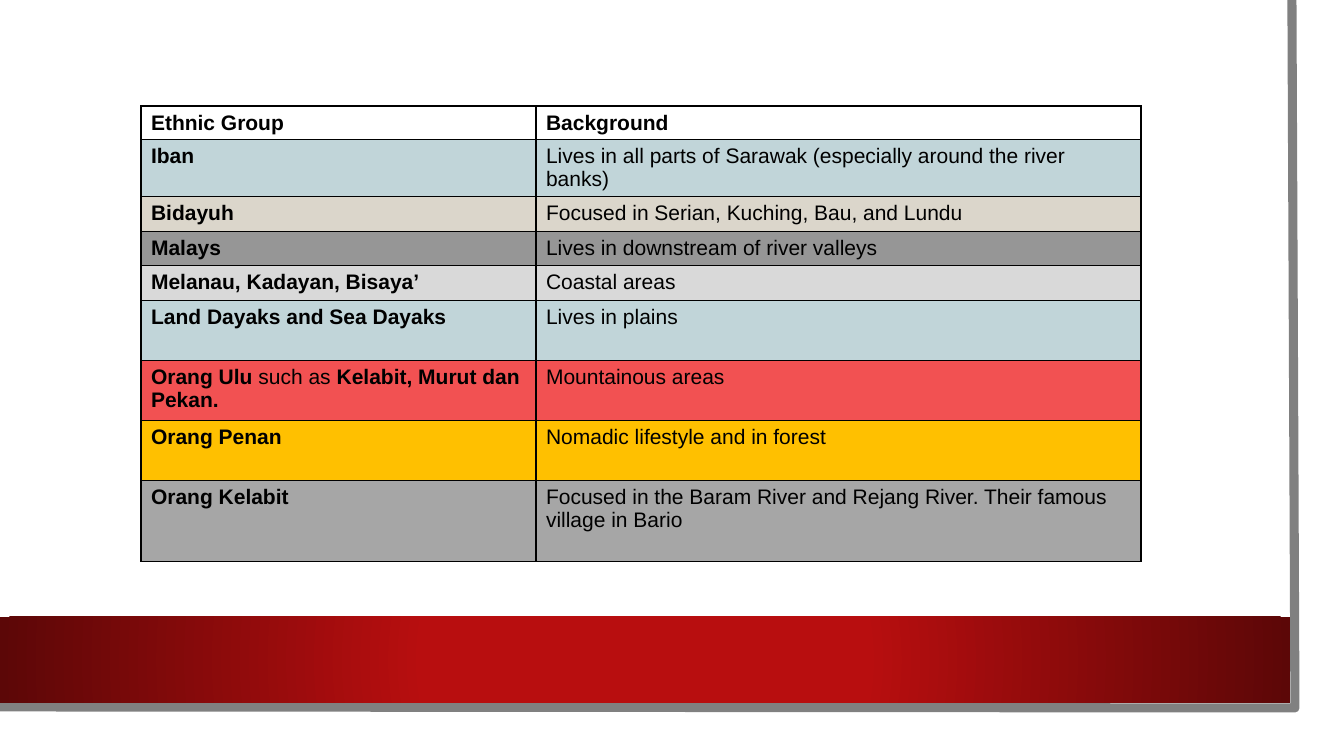
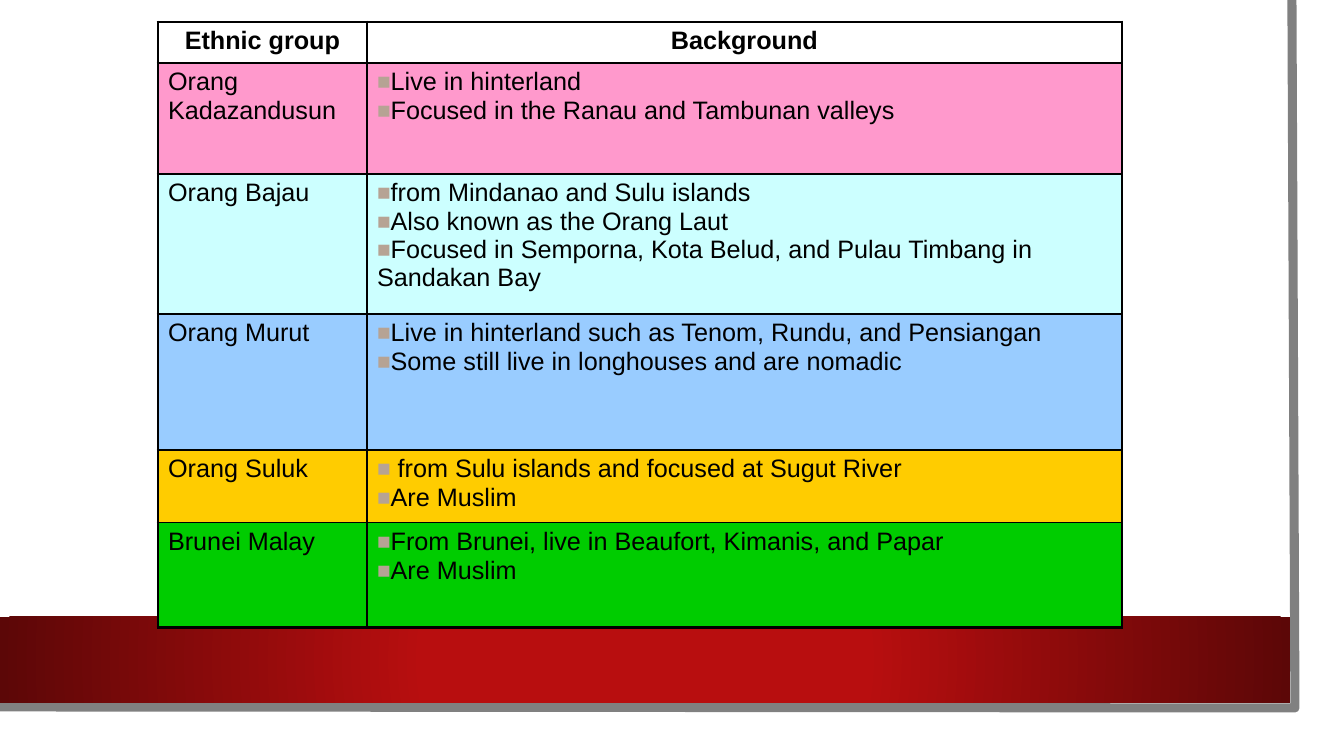
from lxml import etree
from pptx import Presentation
from pptx.dml.color import RGBColor
from pptx.enum.shapes import MSO_SHAPE
from pptx.enum.text import PP_ALIGN
from pptx.oxml import parse_xml
from pptx.oxml.ns import nsdecls, qn
from pptx.util import Pt

RECTANGLE = MSO_SHAPE.RECTANGLE
CENTER, LEFT = PP_ALIGN.CENTER, PP_ALIGN.LEFT
EMU_PER_PX = 914400 / 100.8
SLIDE_SIZE = (1344, 756)
FONT = "Arial"
BULLET = "■"
BULLET_SIZE = 90
RUN_BREAK = "|"

COLORS = {
    "white": "FFFFFF", "black": "000000", "edge": "808080",
    "band": "B80E0F", "band_end": "5C0707", "bullet": "B6A394",
    "mist": "C1D5D9", "sand": "DBD6CB", "slate": "969696",
    "silver": "D9D9D9", "coral": "F25152", "amber": "FFC000",
    "gray": "A6A6A6", "pink": "FF99CC", "aqua": "CCFFFF",
    "sky": "99CCFF", "gold": "FFCC00", "green": "00CC00",
}

SHEET = (0, 0, 1320, 733)
BAND = (0, 617, 1290, 86)
EDGE_POINTS = [(1292, 0), (1295, 708), (-3, 707)]
EDGE_WIDTH = 6.5
BAND_STOPS = [(34, "band"), (100, "band_end")]

TABLES = [
    {
        "origin": (141, 106), "columns": (395, 605), "size": 15,
        "outer": 1, "inner": 1, "header_align": LEFT,
        "bold_labels": True, "bullets": False,
        "rows": [
            (33, "white", "Ethnic Group", ["Background"]),
            (57, "mist", "Iban",
             ["Lives in all parts of Sarawak (especially around the river banks)"]),
            (35, "sand", "Bidayuh", ["Focused in Serian, Kuching, Bau, and Lundu"]),
            (34, "slate", "Malays", ["Lives in downstream of river valleys"]),
            (35, "silver", "Melanau, Kadayan, Bisaya’", ["Coastal areas"]),
            (60, "mist", "Land Dayaks and Sea Dayaks", ["Lives in plains"]),
            (60, "coral", "Orang Ulu |such as |Kelabit, Murut dan Pekan.",
             ["Mountainous areas"]),
            (60, "amber", "Orang Penan", ["Nomadic lifestyle and in forest"]),
            (81, "gray", "Orang Kelabit",
             ["Focused in the Baram River and Rejang River. Their famous village in Bario"]),
        ],
    },
    {
        "origin": (158, 22), "columns": (209, 755), "size": 18,
        "outer": 2.25, "inner": 1, "header_align": CENTER,
        "bold_labels": False, "bullets": True,
        "rows": [
            (41, None, "Ethnic group", ["Background"]),
            (111, "pink", "Orang Kadazandusun",
             ["Live in hinterland", "Focused in the Ranau and Tambunan valleys"]),
            (140, "aqua", "Orang Bajau",
             ["from Mindanao and Sulu islands", "Also known as the Orang Laut",
              "Focused in Semporna, Kota Belud, and Pulau Timbang in Sandakan Bay"]),
            (136, "sky", "Orang Murut",
             ["Live in hinterland such as Tenom, Rundu, and Pensiangan",
              "Some still live in longhouses and are nomadic"]),
            (73, "gold", "Orang Suluk",
             [" from Sulu islands and focused at Sugut River", "Are Muslim"]),
            (105, "green", "Brunei Malay",
             ["From Brunei, live in Beaufort, Kimanis, and Papar", "Are Muslim"]),
        ],
    },
]


def px(length):
    return round(length * EMU_PER_PX)


def color(name):
    return RGBColor.from_string(COLORS[name])


def add_rectangle(slide, box):
    shape = slide.shapes.add_shape(RECTANGLE, *map(px, box))
    shape.shadow.inherit = False
    shape.line.fill.background()
    return shape


def set_radial_fill(shape, stops):
    stop_xml = "".join(
        f'<a:gs pos="{position * 1000}"><a:srgbClr val="{COLORS[name]}"/></a:gs>'
        for position, name in stops)
    gradient = parse_xml(
        f'<a:gradFill {nsdecls("a")} rotWithShape="1"><a:gsLst>{stop_xml}</a:gsLst>'
        '<a:path path="circle"><a:fillToRect l="50000" t="50000" r="50000" b="50000"/>'
        '</a:path></a:gradFill>')
    properties = shape.element.spPr
    properties.find(qn("a:prstGeom")).addnext(gradient)


def add_frame(slide, layout):
    sheet = add_rectangle(slide, SHEET)
    sheet.fill.solid()
    sheet.fill.fore_color.rgb = color("white")

    start, *corners = EDGE_POINTS
    builder = slide.shapes.build_freeform(*start, scale=EMU_PER_PX)
    builder.add_line_segments(corners, close=False)
    edge = builder.convert_to_shape()
    edge.shadow.inherit = False
    edge.fill.background()
    edge.line.color.rgb = color("edge")
    edge.line.width = Pt(EDGE_WIDTH)

    band = add_rectangle(slide, BAND)
    set_radial_fill(band, BAND_STOPS)

    for shape in (sheet, edge, band):
        layout.shapes.element.append(shape.element)


def add_bullet(paragraph):
    properties = paragraph._p.get_or_add_pPr()
    properties.set("marL", "0")
    properties.set("indent", "0")
    bullet_color = etree.SubElement(properties, qn("a:buClr"))
    etree.SubElement(bullet_color, qn("a:srgbClr"), val=COLORS["bullet"])
    etree.SubElement(properties, qn("a:buSzPct"), val=str(BULLET_SIZE * 1000))
    etree.SubElement(properties, qn("a:buFont"), typeface=FONT)
    etree.SubElement(properties, qn("a:buChar"), char=BULLET)


def set_borders(cell, widths):
    properties = cell._tc.get_or_add_tcPr()
    for side, width in zip("LRTB", widths):
        line = etree.SubElement(properties, qn(f"a:ln{side}"), w=str(Pt(width)))
        fill = etree.SubElement(line, qn("a:solidFill"))
        etree.SubElement(fill, qn("a:srgbClr"), val=COLORS["black"])


def fill_cell(cell, lines, size, bold, align, bullets):
    text_frame = cell.text_frame
    for index, line in enumerate(lines):
        paragraph = text_frame.add_paragraph() if index else text_frame.paragraphs[0]
        paragraph.alignment = align
        if bullets:
            add_bullet(paragraph)
        for part, text in enumerate(line.split(RUN_BREAK)):
            run = paragraph.add_run()
            run.text = text
            run.font.name = FONT
            run.font.size = Pt(size)
            run.font.bold = bold and part % 2 == 0
            run.font.color.rgb = color("black")


def add_ethnic_table(slide, data):
    rows, columns = data["rows"], data["columns"]
    outer, inner = data["outer"], data["inner"]
    height = sum(row[0] for row in rows)
    table = slide.shapes.add_table(
        len(rows), len(columns), *map(px, (*data["origin"], sum(columns), height))).table
    table.first_row = table.horz_banding = False
    for column, width in zip(table.columns, columns):
        column.width = px(width)

    for row_index, (row_height, fill, label, background) in enumerate(rows):
        table.rows[row_index].height = px(row_height)
        header = row_index == 0
        for column_index, lines in enumerate(([label], background)):
            cell = table.cell(row_index, column_index)
            at_edges = (column_index == 0, column_index == len(columns) - 1,
                        header, row_index == len(rows) - 1)
            set_borders(cell, [outer if at_edge else inner for at_edge in at_edges])
            if fill:
                cell.fill.solid()
                cell.fill.fore_color.rgb = color(fill)
            else:
                cell.fill.background()
            is_label = column_index == 0
            fill_cell(cell, lines, data["size"],
                      bold=header or (is_label and data["bold_labels"]),
                      align=data["header_align"] if header else LEFT,
                      bullets=data["bullets"] and not header and not is_label)


def main():
    presentation = Presentation()
    presentation.slide_width, presentation.slide_height = map(px, SLIDE_SIZE)
    layout = presentation.slide_layouts[6]
    slides = [presentation.slides.add_slide(layout) for _ in TABLES]
    add_frame(slides[0], layout)
    for slide, data in zip(slides, TABLES):
        add_ethnic_table(slide, data)
    presentation.save("out.pptx")


if __name__ == "__main__":
    main()
